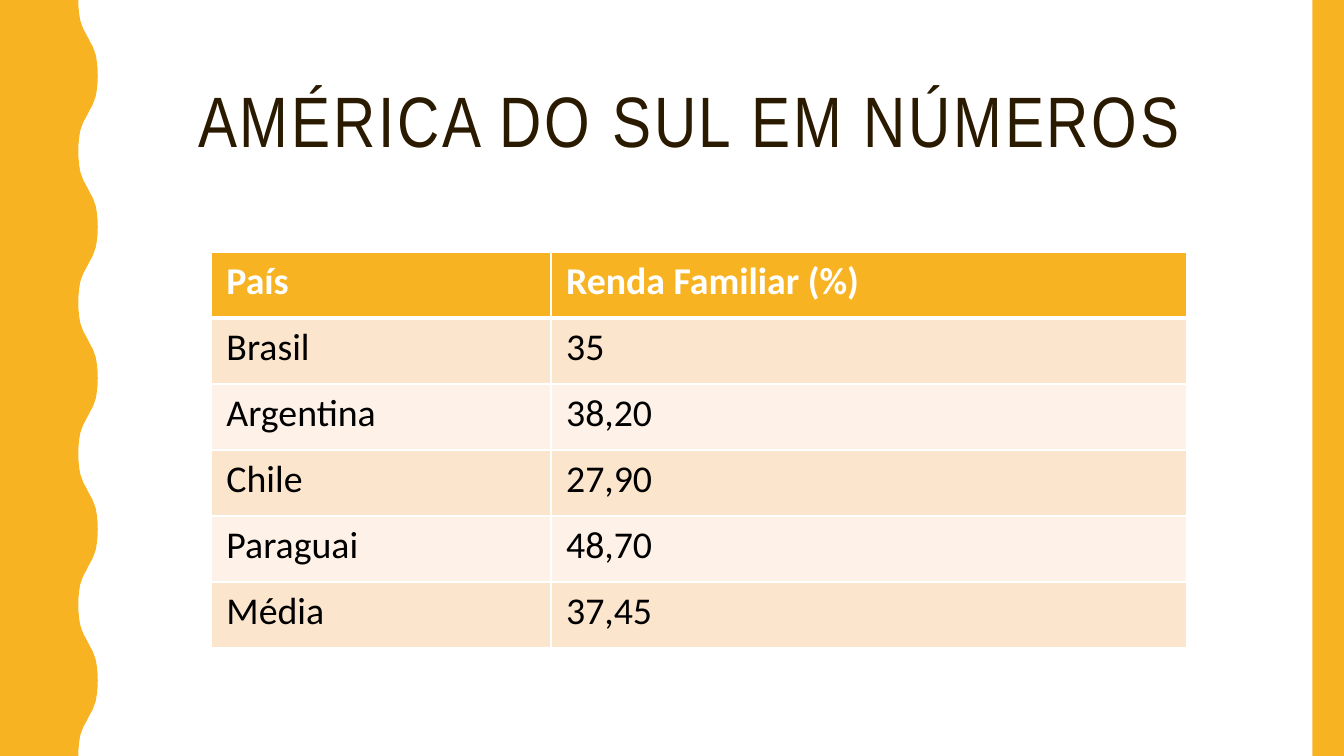
import pptx
import pptx.dml.color
import pptx.enum.shapes
import pptx.enum.text
import pptx.oxml
import pptx.oxml.ns
import pptx.util

RGB = pptx.dml.color.RGBColor
AMBER = RGB(0xF8, 0xB3, 0x23)
BROWN = RGB(0x2A, 0x1A, 0x00)
PEACH = RGB(0xFC, 0xE5, 0xCD)
CREAM = RGB(0xFE, 0xF2, 0xE8)
WHITE = RGB(0xFF, 0xFF, 0xFF)
BLACK = RGB(0x00, 0x00, 0x00)

COLUMNS, ROWS = 40, 30
WAVES = 5
# Trough to midpoint of a wave, as shares of its swing and of half its length.
RISE = [(0, 0), (0.01, 0.09), (0.05, 0.19), (0.1, 0.27),
        (0.18, 0.33), (0.27, 0.39), (0.38, 0.44), (0.5, 0.5)]

INCOME = [
    ("País", "Renda Familiar (%)"),
    ("Brasil", "35"),
    ("Argentina", "38,20"),
    ("Chile", "27,90"),
    ("Paraguai", "48,70"),
    ("Média", "37,45"),
]


class Deck:
    """Style and current slide; all lengths are columns and rows of the grid."""

    title_font, body_font = "Arial Narrow", "Calibri"
    title_size, body_size = pptx.util.Pt(51), pptx.util.Pt(27)

    def __init__(self):
        self.prs = pptx.Presentation()
        self.prs.slide_width = pptx.util.Inches(13.33)
        self.prs.slide_height = pptx.util.Inches(7.5)
        self.slide = self.prs.slides.add_slide(self.prs.slide_layouts[5])
        fill = self.slide.background.fill
        fill.solid()
        fill.fore_color.rgb = WHITE

    def x(self, columns):
        return round(self.prs.slide_width * columns / COLUMNS)

    def y(self, rows):
        return round(self.prs.slide_height * rows / ROWS)

    def box(self, left, top, width, height):
        return self.x(left), self.y(top), self.x(width), self.y(height)

    def paint(self, sp, color):
        sp.shadow.inherit = False
        sp.fill.solid()
        sp.fill.fore_color.rgb = color
        sp.line.fill.background()

    def add_run(self, p, text, font, size, color, bold=False):
        r = p.add_run()
        r.text = text
        r.font.name, r.font.size, r.font.bold = font, size, bold
        r.font.color.rgb = color
        return r

    def title(self, text, *place):
        sp = self.slide.shapes.title
        sp.left, sp.top, sp.width, sp.height = self.box(*place)
        tf = sp.text_frame
        tf.word_wrap = True
        tf.auto_size = pptx.enum.text.MSO_AUTO_SIZE.NONE
        tf.vertical_anchor = pptx.enum.text.MSO_ANCHOR.MIDDLE
        p = tf.paragraphs[0]
        p.alignment = pptx.enum.text.PP_ALIGN.CENTER
        p.line_spacing = 0.9
        r = self.add_run(p, text, self.title_font, self.title_size, BROWN)
        r.font._element.set("spc", "200")

    def bar(self, *place):
        sp = self.slide.shapes.add_shape(
            pptx.enum.shapes.MSO_SHAPE.RECTANGLE, *self.box(*place))
        self.paint(sp, AMBER)

    def wavy_edge(self, trough, crest):
        """Fill the left edge of the slide up to a wavy outline."""
        half = ROWS / (2 * WAVES)
        rise = RISE + [(1 - dx, 1 - dy) for dx, dy in reversed(RISE[:-1])]
        fall = [(1 - dx, dy) for dx, dy in rise]
        points = [(self.x(trough), 0)]
        for i in range(2 * WAVES):
            for dx, dy in (fall if i % 2 else rise)[1:]:
                points.append((self.x(trough + dx * (crest - trough)),
                               self.y((i + dy) * half)))
        points.append((0, self.y(ROWS)))
        builder = self.slide.shapes.build_freeform(0, 0)
        builder.add_line_segments(points, close=True)
        self.paint(builder.convert_to_shape(), AMBER)

    def border(self, cell, **widths):
        """Draw white borders; widths are points keyed by side L, R, T, B."""
        tcPr = cell._tc.get_or_add_tcPr()
        for side, width in widths.items():
            tcPr.append(pptx.oxml.parse_xml(
                f'<a:ln{side} {pptx.oxml.ns.nsdecls("a")} w="{pptx.util.Pt(width)}">'
                f'<a:solidFill><a:srgbClr val="{WHITE}"/></a:solidFill></a:ln{side}>'))

    def table(self, data, left, top, widths, row_height):
        place = self.box(left, top, sum(widths), row_height * len(data))
        table = self.slide.shapes.add_table(len(data), len(widths), *place).table
        table.horz_banding = False
        for column, width in zip(table.columns, widths):
            column.width = self.x(width)
        for i, values in enumerate(data):
            table.rows[i].height = self.y(row_height)
            header = i == 0
            fill = AMBER if header else PEACH if i % 2 else CREAM
            for j, value in enumerate(values):
                cell = table.cell(i, j)
                self.border(cell, L=1, R=1, T=3 if i == 1 else 1, B=3 if header else 1)
                cell.fill.solid()
                cell.fill.fore_color.rgb = fill
                cell.margin_left = cell.margin_right = pptx.util.Inches(0.15)
                cell.margin_top = cell.margin_bottom = pptx.util.Inches(0.07)
                self.add_run(cell.text_frame.paragraphs[0], value, self.body_font,
                             self.body_size, WHITE if header else BLACK, header)


def main():
    deck = Deck()
    deck.title("AMÉRICA DO SUL EM NÚMEROS ", 4.11, 1.68, 33.4, 6.52)
    deck.wavy_edge(2.33, 2.91)
    deck.bar(39.06, 0, 0.94, ROWS)
    deck.table(INCOME, 6.29, 10, (10.11, 18.93), 2.62)
    deck.prs.save("out.pptx")


if __name__ == "__main__":
    main()
